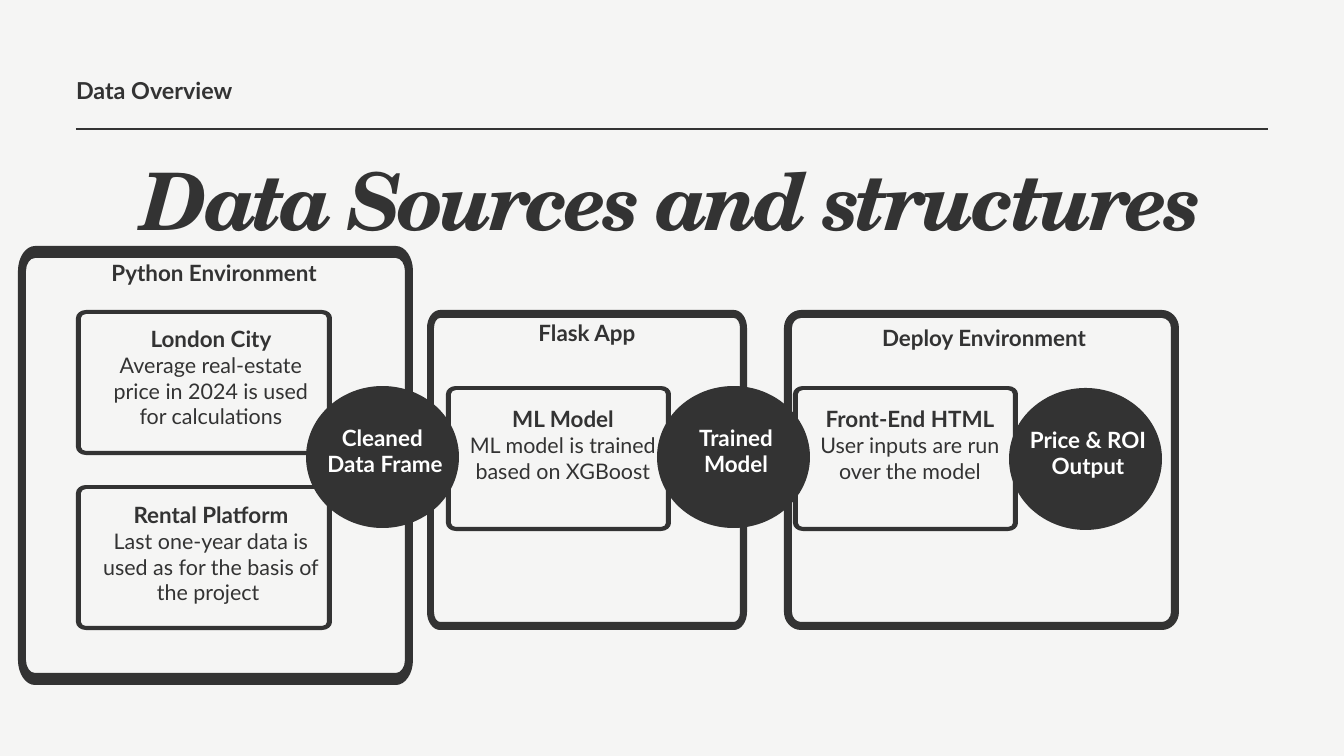
from dataclasses import dataclass

from lxml.etree import SubElement
from pptx import Presentation
from pptx.dml.color import RGBColor
from pptx.enum.shapes import MSO_CONNECTOR as CONN, MSO_SHAPE as SHAPE
from pptx.enum.text import PP_ALIGN as ALIGN
from pptx.oxml.ns import qn
from pptx.util import Pt

EMU_PER_PX = 914400 / 67.2
ARC = 0.45


@dataclass(frozen=True)
class Theme:
    """Colours, fonts and type sizes of the slide."""
    paper: RGBColor = RGBColor(0xF5, 0xF5, 0xF4)
    ink: RGBColor = RGBColor(0x33, 0x33, 0x33)
    white: RGBColor = RGBColor(0xFF, 0xFF, 0xFF)
    sans: str = "Lato"
    serif: str = "TeX Gyre Schola"
    section: int = 25
    title: int = 85
    heading: int = 24
    body: int = 23
    leading: float = 27.6


THEME = Theme()


def px(n):
    """Turn pixels into EMU."""
    return round(n * EMU_PER_PX)


def fill_ink(s):
    """Give a shape a plain dark fill."""
    s.shadow.inherit = False
    s.fill.solid()
    s.fill.fore_color.rgb = THEME.ink
    s.line.fill.background()


def rounded_outline(x, y, w, h, rx, ry):
    """List start, two controls and end of each rounded corner, clockwise."""
    right, bottom = x + w, y + h
    cx, cy = rx * ARC, ry * ARC
    points = [
        (right - rx, y), (right - cx, y), (right, y + cy), (right, y + ry),
        (right, bottom - ry), (right, bottom - cy), (right - cx, bottom), (right - rx, bottom),
        (x + rx, bottom), (x + cx, bottom), (x, bottom - cy), (x, bottom - ry),
        (x, y + ry), (x, y + cy), (x + cx, y), (x + rx, y),
    ]
    return [(px(a), px(b)) for a, b in points]


def curve_corners(s):
    """Turn the three segments of every corner into one Bezier curve."""
    for move in list(s._element.iter(qn("a:moveTo"))):
        lines = []
        for node in move.itersiblings():
            if node.tag != qn("a:lnTo"):
                break
            lines.append(node)
        for i in range(0, 15, 4):
            curve = SubElement(move.getparent(), qn("a:cubicBezTo"))
            lines[i].addprevious(curve)
            for node in lines[i:i + 3]:
                curve.append(node[0])
                node.getparent().remove(node)


def add_frame(slide, x, y, w, h, radius, band):
    """Draw a hollow rounded frame with its own band width on each axis."""
    (rx, ry), (bx, by) = radius, band
    outer = rounded_outline(x, y, w, h, rx, ry)
    inner = rounded_outline(x + bx, y + by, w - 2 * bx, h - 2 * by,
                            rx - bx, ry - by)[::-1]
    builder = slide.shapes.build_freeform(*outer[0], scale=1.0)
    builder.add_line_segments(outer[1:], close=True)
    builder.move_to(*inner[0])
    builder.add_line_segments(inner[1:], close=True)
    s = builder.convert_to_shape()
    curve_corners(s)
    fill_ink(s)


def add_text(slide, x, y, w, h, lines, size=THEME.heading, color=THEME.ink,
             font=THEME.sans, align=ALIGN.CENTER, leading=THEME.leading):
    """Add a bold text box and return its text frame."""
    tf = slide.shapes.add_textbox(px(x), px(y), px(w), px(h)).text_frame
    tf.word_wrap = True
    tf.margin_left = tf.margin_right = tf.margin_top = tf.margin_bottom = 0
    tf.text = "\n".join(lines)
    for p in tf.paragraphs:
        p.alignment = align
        p.line_spacing = Pt(leading)
        for r in p.runs:
            r.font.name, r.font.size, r.font.bold = font, Pt(size), True
            r.font.color.rgb = color
    return tf


def add_step(slide, x, y, w, inset, heading, body):
    """Add a framed step with a heading and a description."""
    add_frame(slide, x, y, w, 145, (10, 8), (5, 4))
    dx, dy, text_w = inset
    tf = add_text(slide, x + dx, y + dy, text_w, 104, [heading, body])
    font = tf.paragraphs[1].runs[0].font
    font.size, font.bold = Pt(THEME.body), False


def add_result(slide, x, y, lines):
    """Add a dark disc with a white label."""
    fill_ink(slide.shapes.add_shape(SHAPE.OVAL, px(x), px(y), px(153), px(142)))
    add_text(slide, x + 8, y + 39, 142, 53, lines, color=THEME.white)


def add_header(slide):
    """Add the section name, the rule and the title."""
    add_text(slide, 76, 71, 370, 30, ["Data Overview"], THEME.section,
             align=ALIGN.LEFT, leading=35)
    rule = slide.shapes.add_connector(CONN.STRAIGHT, px(76), px(129), px(1268), px(129))
    rule.line.color.rgb, rule.line.width = THEME.ink, Pt(2.25)
    SubElement(rule._element.spPr, qn("a:effectLst"))
    tf = add_text(slide, 122, 151, 1100, 95, ["Data Sources and structures"],
                  THEME.title, font=THEME.serif, leading=102)
    r = tf.paragraphs[0].runs[0]
    r.font.italic = True
    r._r.get_or_add_rPr().set("spc", "-420")


def main():
    """Build the slide and save it."""
    prs = Presentation()
    prs.slide_width, prs.slide_height = px(1344), px(756)
    slide = prs.slides.add_slide(prs.slide_layouts[6])
    slide.background.fill.solid()
    slide.background.fill.fore_color.rgb = THEME.paper
    add_header(slide)

    environments = [
        ("Python Environment", (26, 260), (18, 246, 395, 439), (17, 25), (8, 12)),
        ("Flask App", (399, 320), (427, 310, 320, 320), (13, 18), (7, 8)),
        ("Deploy Environment", (796, 325), (784, 310, 395, 320), (17, 18), (8, 8)),
    ]
    for name, (x, y), box, radius, band in environments:
        add_frame(slide, *box, radius, band)
        add_text(slide, x, y, 376, 26, [name])

    stage = (22, 20, 190)
    steps = [
        (76, 310, 256, (26, 16, 218), "London City",
         "Average real-estate price in 2024 is used for calculations"),
        (76, 485, 256, (26, 17, 218), "Rental Platform",
         "Last one-year data is used as for the basis of the project "),
        (446, 386, 225, stage, "ML Model", "ML model is trained based on XGBoost"),
        (793, 386, 225, stage, "Front-End HTML", "User inputs are run over the model"),
    ]
    for step in steps:
        add_step(slide, *step)

    add_result(slide, 306, 386, ["Cleaned ", "Data Frame"])
    add_result(slide, 657, 386, ["Trained Model"])
    add_result(slide, 1009, 388, ["Price & ROI Output"])
    prs.save("out.pptx")


if __name__ == "__main__":
    main()
